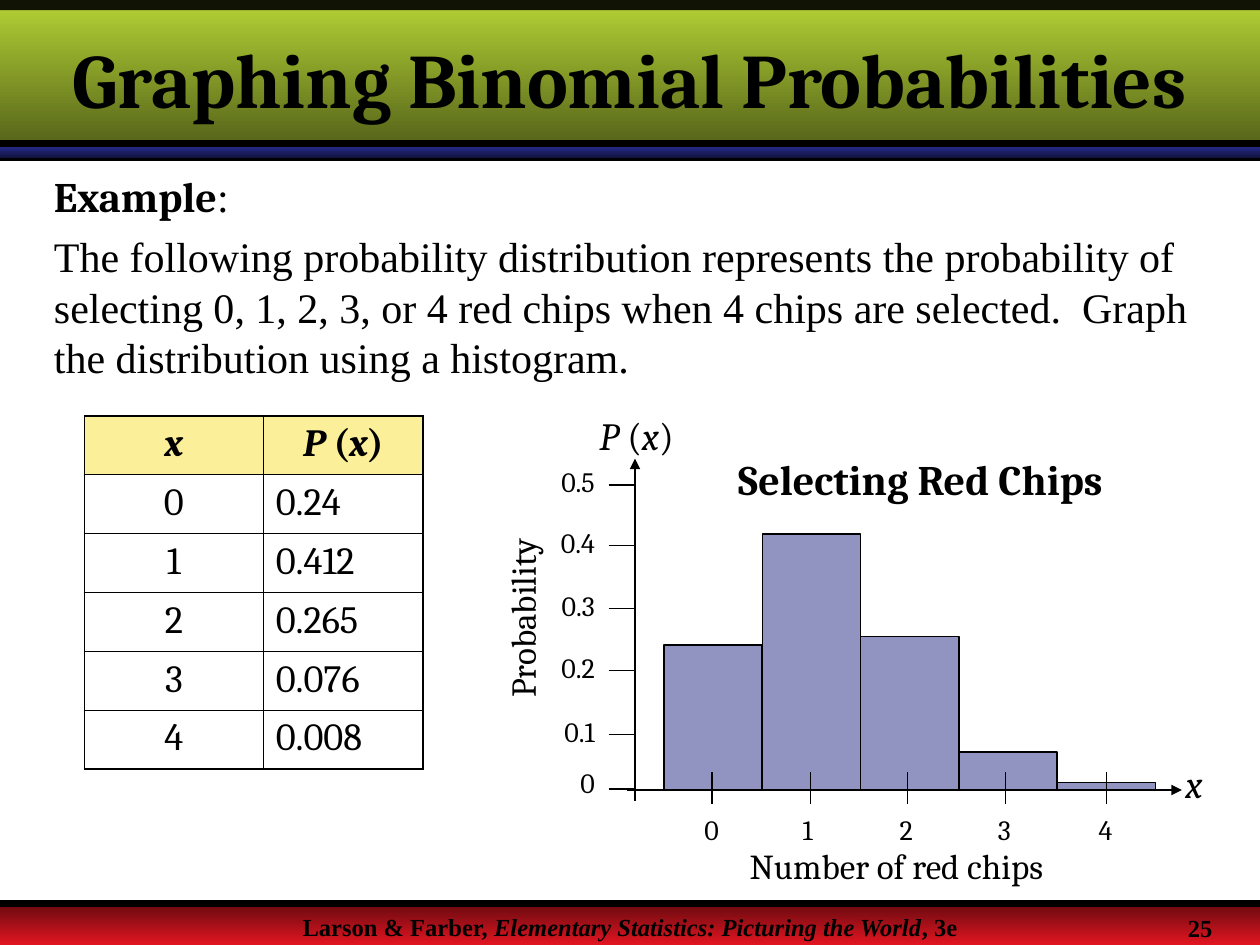
from lxml import etree
from pptx import Presentation
from pptx import util as u
from pptx.dml.color import RGBColor
from pptx.enum import shapes, text
from pptx.oxml import ns

LEFT, MID, RIGHT = text.PP_ALIGN.LEFT, text.PP_ALIGN.CENTER, text.PP_ALIGN.RIGHT
BLACK = "000000"


def color(code):
    return RGBColor.from_string(code)


def add(node, tag, **attrs):
    return etree.SubElement(node, ns.qn(tag), **attrs)


class Board:
    serif = "Cambria"
    roman = "Times New Roman"

    def __init__(self, deck):
        self.slide = deck.slides.add_slide(deck.slide_layouts[5])
        self.items = self.slide.shapes

    def fade(self, fill, code, alpha):
        fill.solid()
        fill.fore_color.rgb = color(code)
        mark = fill._xPr.find(".//" + ns.qn("a:srgbClr"))
        add(mark, "a:alpha", val=str(alpha * 1000))

    def fill_in(self, para, parts, size, font=None, align=LEFT):
        para.alignment = align
        for words, style in parts:
            run = para.add_run()
            run.text = words
            face = run.font
            face.name = self.roman if "r" in style else font or self.serif
            face.size = u.Pt(size)
            face.bold = "b" in style
            face.italic = "i" in style
            face.color.rgb = color(BLACK)

    def title(self, words, x, y, w, h):
        head = self.items.title
        head.left, head.top, head.width, head.height = map(u.Inches, (x, y, w, h))
        head.element.getparent().append(head.element)
        frame = head.text_frame
        frame.vertical_anchor = text.MSO_ANCHOR.MIDDLE
        self.fill_in(frame.paragraphs[0], [(words, "b")], 44, align=MID)

    def label(self, x, y, w, h, paras, size, font=None, align=LEFT,
              pad=True, wrap=True, turn=0):
        box = self.items.add_textbox(*map(u.Inches, (x, y, w, h)))
        box.rotation = turn
        frame = box.text_frame
        frame.word_wrap = wrap
        if not pad:
            frame.margin_left = frame.margin_right = 0
            frame.margin_top = frame.margin_bottom = 0
        for i, parts in enumerate(paras):
            para = frame.add_paragraph() if i else frame.paragraphs[0]
            if i:
                para.space_before = u.Pt(6)
            self.fill_in(para, parts, size, font, align)

    def rect(self, x, y, w, h):
        box = self.items.add_shape(shapes.MSO_SHAPE.RECTANGLE,
                                   *map(u.Inches, (x, y, w, h)))
        box.shadow.inherit = False
        return box

    def band(self, y, h, first, last):
        box = self.rect(0, y, 10, h)
        box.line.fill.background()
        box.fill.gradient()
        box.fill.gradient_angle = 270
        for stop, code in zip(box.fill.gradient_stops, (first, last)):
            stop.color.rgb = color(code)

    def strip(self, y, h):
        box = self.rect(0, y, 10, h)
        box.line.fill.background()
        self.fade(box.fill, BLACK, 90)

    def bar(self, x, y, w, h):
        box = self.rect(x, y, w, h)
        self.fade(box.fill, "242985", 50)
        box.line.color.rgb = color(BLACK)
        box.line.width = u.Pt(0.88)

    def line(self, x1, y1, x2, y2, width=0.88, arrow=False):
        link = self.items.add_connector(shapes.MSO_CONNECTOR.STRAIGHT,
                                        *map(u.Inches, (x1, y1, x2, y2)))
        link.line.color.rgb = color(BLACK)
        link.line.width = u.Pt(width)
        if arrow:
            add(link.element.spPr.find(ns.qn("a:ln")), "a:headEnd", type="triangle")
        add(link.element.spPr, "a:effectLst")

    def border(self, cell, widths):
        props = cell._tc.get_or_add_tcPr()
        for i, (side, width) in enumerate(zip("LRTB", widths)):
            edge = add(props, "a:ln" + side, w=str(u.Pt(width)))
            add(add(edge, "a:solidFill"), "a:srgbClr", val=BLACK)
            props.insert(i, edge)

    def table(self, x, y, cols, high, rows):
        last = len(rows) - 1
        grid = self.items.add_table(len(rows), len(cols), u.Inches(x), u.Inches(y),
                                    u.Inches(sum(cols)), u.Inches(high * len(rows))).table
        for col, wide in zip(grid.columns, cols):
            col.width = u.Inches(wide)
        for r, row in enumerate(rows):
            grid.rows[r].height = u.Inches(high)
            for c, parts in enumerate(row):
                cell = grid.cell(r, c)
                if r:
                    cell.fill.background()
                else:
                    self.fade(cell.fill, "FBE136", 50)
                outer = (c == 0, c == len(cols) - 1, r == 0, r == last)
                self.border(cell, [1.08 if out else 0.45 for out in outer])
                align = LEFT if r and c else MID
                self.fill_in(cell.text_frame.paragraphs[0], parts, 22, align=align)


def frame(board):
    board.band(7.17, 0.33, "680A0F", "E11521")
    board.line(0, 1.25, 10, 1.25, 4)
    board.label(0, 7.19, 10, 0.2, [[
        ("Larson & Farber, ", "b"),
        ("Elementary Statistics: Picturing the World", "bi"),
        (", 3e", "b")]], 14, board.roman, MID)
    board.band(1.17, 0.08, "242985", "11133E")
    board.band(0, 1.17, "B5D335", "546219")
    board.line(0, 7.17, 10, 7.17, 4)
    board.strip(0, 0.08)
    board.line(0, 1.14, 10, 1.14, 4)
    board.label(9.33, 7.2, 0.4, 0.34, [[("25", "b")]], 14, board.roman, wrap=False)
    board.title("Graphing Binomial Probabilities", 0, 0.08, 10, 1.08)


def graph(board):
    left, base, wide = 5.27, 6.27, 0.78
    for i, high in enumerate((1.15, 2.03, 1.22, 0.3, 0.06)):
        board.bar(left + i * wide, base - high, wide, high)
    board.label(5.76, 3.55, 3.48, 0.9, [[("Selecting Red Chips", "b")]], 24)

    marks = (("0.5", 3.85), ("0.4", 4.33), ("0.3", 4.83),
             ("0.2", 5.32), ("0.1", 5.83), ("0", 6.26))
    for words, y in marks:
        board.line(4.83, y, 5.04, y)
        gap = 0.16 if y < 6 else 0.18
        board.label(4.37, y - gap, 0.35, 0.27, [[(words, "")]], 16,
                    align=RIGHT, pad=False)
    board.line(5.04, 3.64, 5.04, 6.36, arrow=True)
    board.line(9.38, base, 4.98, base, arrow=True)

    for i, x in enumerate((5.65, 6.43, 7.2, 7.98, 8.78)):
        board.line(x, 6.13, x, 6.38, 0.75)
        board.label(x - 0.06, 6.45, 0.12, 0.27, [[(str(i), "")]], 16,
                    pad=False, wrap=False)

    board.label(9.31, 5.98, 0.35, 0.47, [[("x", "i")]], 22, wrap=False)
    board.label(3.27, 4.54, 1.75, 0.44, [[("Probability", "")]], 20, turn=270)
    board.label(5.45, 6.65, 3.33, 0.44, [[("Number of red chips", "")]], 20, align=MID)
    board.label(4.66, 3.22, 0.87, 0.47,
                [[("P ", "i"), ("(", ""), ("x", "i"), (")", "")]], 22)


def main():
    deck = Presentation()
    deck.slide_width, deck.slide_height = u.Inches(10), u.Inches(7.5)
    board = Board(deck)
    frame(board)
    board.label(0.33, 1.3, 9.67, 0.92, [
        [("Example", "b"), (":", "r")],
        [("The following probability distribution represents the probability of "
          "selecting 0, 1, 2, 3, or 4 red chips when 4 chips are selected.  Graph "
          "the distribution using a histogram.", "r")]], 24)
    rows = [[[("x", "bi")], [("P", "bi"), (" (", "b"), ("x", "bi"), (")", "b")]]]
    for i, value in enumerate(("0.24", "0.412", "0.265", "0.076", "0.008")):
        rows.append([[(str(i), "")], [(value, "")]])
    board.table(0.67, 3.3, (1.42, 1.27), 0.37, rows)
    graph(board)
    deck.save("out.pptx")


if __name__ == "__main__":
    main()
